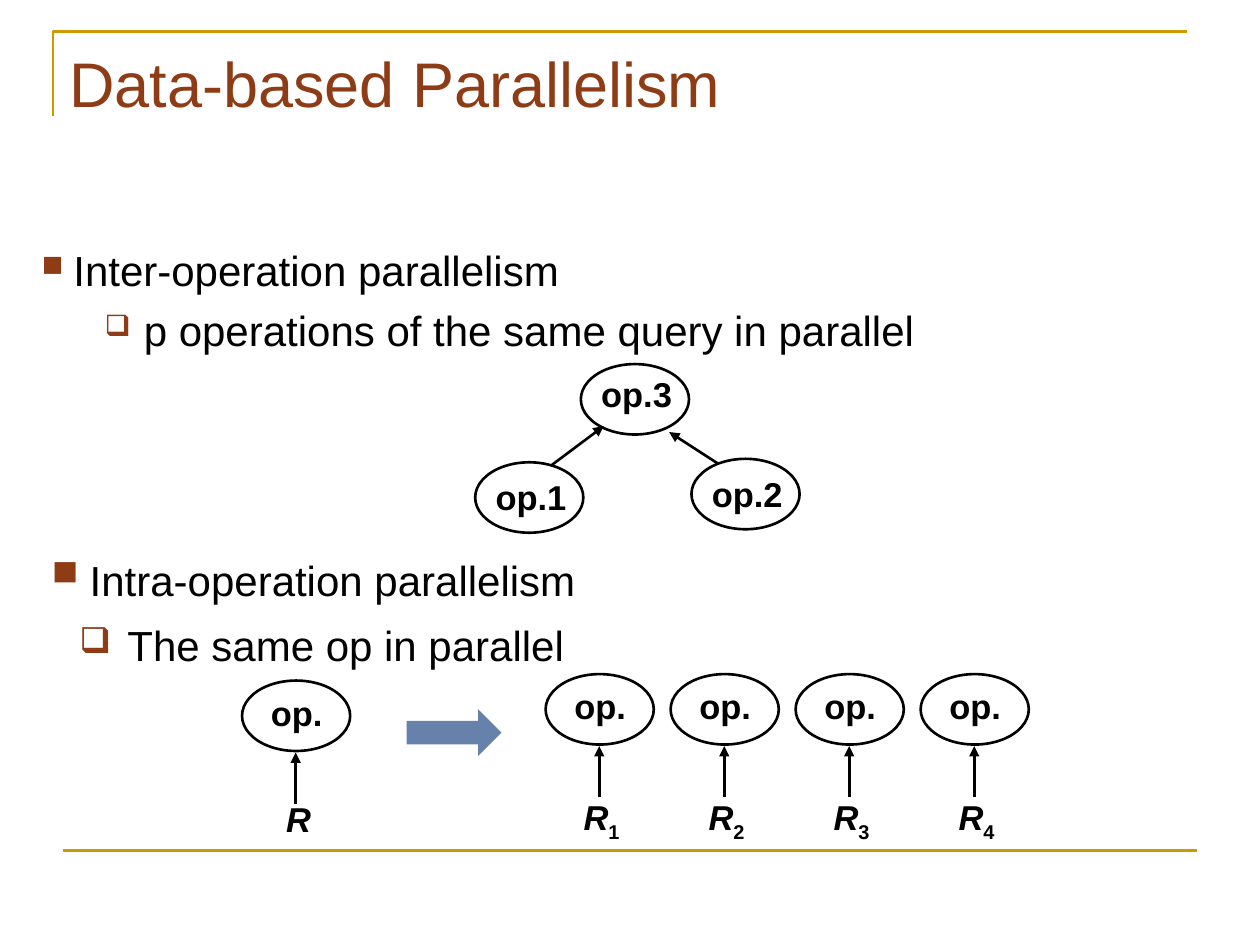
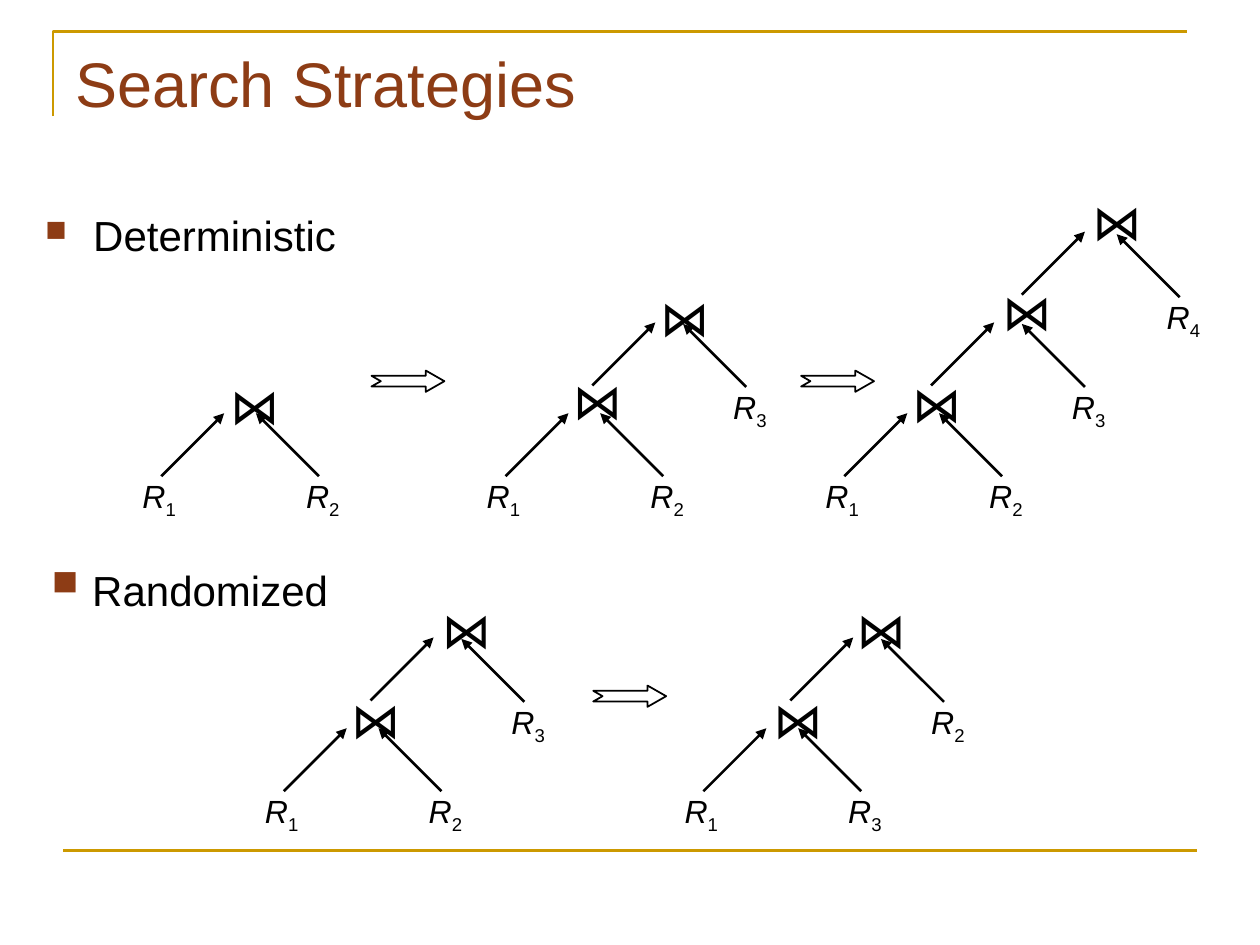
from lxml.etree import SubElement
from pptx import Presentation
from pptx.dml.color import RGBColor
from pptx.enum.shapes import MSO_CONNECTOR, MSO_SHAPE
from pptx.enum.text import MSO_ANCHOR, MSO_AUTO_SIZE
from pptx.oxml.ns import qn
from pptx.util import Cm, Pt

COLORS = {"rule": "CC9900", "accent": "8D3C15", "ink": "000000", "block": "6682AA"}
TEXT_FONT = "Arial"
JOIN_FONT = "Noto Sans CJK JP"
WIDE_INSET = (0.25, 0.13)
THIN_INSET = (0.18, 0.08)
OP_SIZE = (2.18, 1.42)
REACH = 1.27  # horizontal and vertical run of a tree arrow
# Per tree level: foot of the left arrow, foot of the right arrow
LEVELS = [
    ((0, 0), (3.18, 0)),
    ((1.75, -1.83), (4.85, -1.8)),
    ((3.58, -3.66), (6.76, -3.61)),
]


def rgb(name):
    return RGBColor.from_string(COLORS[name])


class Deck:
    """Holds the shared style and the slide being built."""

    def __init__(self):
        self.prs = Presentation()
        self.prs.slide_width, self.prs.slide_height = Cm(25.4), Cm(19.05)
        self.slide = None

    # Slide frame and title
    def new_slide(self):
        self.slide = self.prs.slides.add_slide(self.prs.slide_layouts[6])
        builder = self.slide.shapes.build_freeform(Cm(1.07), Cm(2.34))
        builder.add_line_segments(
            [(Cm(1.07), Cm(0.64)), (Cm(23.93), Cm(0.64))], close=False)
        self.paint(builder.convert_to_shape(), line="rule")
        self.line((1.27, 17.15), (24.13, 17.15), color="rule")

    def title(self, text, box, **options):
        frame = self.text_frame(box, **options)
        self.fill_paragraph(frame.paragraphs[0], [text], 36, color="accent")

    # Shapes and lines
    def paint(self, shape, fill=None, line=None, width=1.5):
        shape.shadow.inherit = False
        if fill:
            shape.fill.solid()
            shape.fill.fore_color.rgb = rgb(fill)
        else:
            shape.fill.background()
        if line:
            shape.line.color.rgb = rgb(line)
            shape.line.width = Pt(width)
        else:
            shape.line.fill.background()

    def shape(self, kind, box, **style):
        shape = self.slide.shapes.add_shape(kind, *map(Cm, box))
        self.paint(shape, **style)
        return shape

    def line(self, start, end, color="ink", arrow=False):
        connector = self.slide.shapes.add_connector(
            MSO_CONNECTOR.STRAIGHT, *map(Cm, (*start, *end)))
        connector.line.color.rgb = rgb(color)
        connector.line.width = Pt(1.5)
        if arrow:
            SubElement(connector.line._get_or_add_ln(), qn("a:tailEnd"), type="triangle")
        SubElement(connector._element.spPr, qn("a:effectLst"))

    def arrow(self, start, end):
        self.line(start, end, arrow=True)

    def step_arrow(self, left, top):
        step = self.shape(MSO_SHAPE.NOTCHED_RIGHT_ARROW, (left, top, 1.47, 0.43),
                          line="ink", width=1)
        step.adjustments[0], step.adjustments[1] = 0.5, 0.875

    # Text
    def text_frame(self, box, inset=WIDE_INSET, wrap=False, grow=True):
        frame = self.slide.shapes.add_textbox(*map(Cm, box)).text_frame
        frame.margin_left = frame.margin_right = Cm(inset[0])
        frame.margin_top = frame.margin_bottom = Cm(inset[1])
        frame.vertical_anchor = MSO_ANCHOR.TOP
        frame.word_wrap = wrap
        frame.auto_size = MSO_AUTO_SIZE.SHAPE_TO_FIT_TEXT if grow else MSO_AUTO_SIZE.NONE
        return frame

    def fill_paragraph(self, paragraph, texts, size, color="ink", bold=False,
                       name=TEXT_FONT):
        font = paragraph.font
        font.name, font.size, font.bold = name, Pt(size), bold
        font.color.rgb = rgb(color)
        for text in texts:
            paragraph.add_run().text = text

    def bullets(self, box, items, space=0, **options):
        """Each item is (text, bullet, bullet percent, text indent, hanging)."""
        frame = self.text_frame(box, wrap=True, **options)
        for index, (text, bullet, percent, indent, hanging) in enumerate(items):
            paragraph = frame.add_paragraph() if index else frame.paragraphs[0]
            paragraph.level = index
            props = paragraph._p.get_or_add_pPr()
            props.set("marL", str(Cm(indent)))
            props.set("indent", str(-Cm(hanging)))
            tint = SubElement(props, qn("a:buClr"))
            SubElement(tint, qn("a:srgbClr"), val=COLORS["accent"])
            SubElement(props, qn("a:buSzPct"), val=str(percent * 1000))
            SubElement(props, qn("a:buChar"), char=bullet)
            if index:
                paragraph.space_before = Pt(space)
            self.fill_paragraph(paragraph, [text], 24)

    def op_label(self, text, box):
        paragraph = self.text_frame(box).paragraphs[0]
        paragraph.line_spacing = 0.9
        self.fill_paragraph(paragraph, [text], 19.7, bold=True)

    def relation(self, number, box, size, bold=False):
        """An italic R with an upright subscript, if it has a number."""
        paragraph = self.text_frame(box).paragraphs[0]
        if bold:
            paragraph.line_spacing = 0.9
        self.fill_paragraph(paragraph, ["R", number] if number else ["R"], size, bold=bold)
        letter, *subscripts = paragraph.runs
        letter.font.italic = True
        for subscript in subscripts:
            subscript._r.get_or_add_rPr().set("baseline", "-25000")

    # Diagram parts
    def ellipse(self, left, top):
        self.shape(MSO_SHAPE.OVAL, (left, top, *OP_SIZE), line="ink")

    def op_on_relation(self, left, top, number=""):
        self.ellipse(left, top)
        self.op_label("op.", (left + 0.33, top + 0.19, 1.55, 1.02))
        self.arrow((left + 1.08, top + 2.48), (left + 1.08, top + 1.45))
        width = 1.27 if number else 1.02
        self.relation(number, (left + 1.15 - width / 2, top + 2.34, width, 1.02),
                      19.7, bold=True)

    def join(self, left, top):
        paragraph = self.text_frame((left, top, 1.02, 1.45)).paragraphs[0]
        self.fill_paragraph(paragraph, ["⋈"], 28.1, name=JOIN_FONT)
        SubElement(paragraph.font._element, qn("a:ea"), typeface=JOIN_FONT)

    def join_tree(self, left, base, relations, joins):
        """A left-deep tree: the first relation, then one more per level."""
        first, *others = relations
        self.relation(first, (left - 0.63, base - 0.13, 1.22, 1.04), 18.3)
        for number, (left_foot, right_foot), join_at in zip(others, LEVELS, joins):
            x, y = left + left_foot[0], base + left_foot[1]
            self.arrow((x, y), (x + REACH, y - REACH))
            x, y = left + right_foot[0], base + right_foot[1]
            self.arrow((x, y), (x - REACH, y - REACH))
            self.relation(number, (x - 0.51, y - 0.12, 1.22, 1.04), 18.3)
            self.join(*join_at)


def parallelism_slide(deck):
    deck.new_slide()
    deck.title("Data-based Parallelism", (1.22, 0.81, 13.61, 1.68), inset=THIN_INSET)

    # Inter-operation: three operations in a tree
    deck.bullets((0.66, 4.85, 24, 2.39), [
        ("Inter-operation parallelism", "■", 70, 0.64, 0.64),
        ("p operations of the same query in parallel", "❑", 70, 2.06, 0.79),
    ], space=5.5, inset=THIN_INSET)
    for text, left, top, drop in [("op.1", 9.58, 9.32, 0.25), ("op.3", 11.71, 7.34, 0.15),
                                  ("op.2", 13.94, 9.25, 0.25)]:
        deck.ellipse(left, top)
        deck.op_label(text, (left + 0.16, top + drop, 1.96, 1.02))
    deck.arrow((11.13, 9.37), (12.17, 8.59))
    deck.arrow((14.48, 9.35), (13.49, 8.71))

    # Intra-operation: one operation split over partitions
    deck.bullets((0.66, 11.1, 21.11, 2.49), [
        ("Intra-operation parallelism", "▪", 150, 0.97, 0.97),
        ("The same op in parallel", "❑", 85, 1.73, 0.97),
    ], space=8.4, inset=THIN_INSET)
    deck.op_on_relation(4.88, 13.72)
    for partition in range(4):
        deck.op_on_relation(11 + 2.52 * partition, 13.59, str(partition + 1))
    deck.shape(MSO_SHAPE.RIGHT_ARROW, (8.2, 14.3, 1.91, 0.94), fill="block")


def strategies_slide(deck):
    deck.new_slide()
    deck.title("Search Strategies", (1.27, 0.76, 22.86, 3.18), wrap=True, grow=False)

    # Deterministic: the plan grows by one relation at a time
    deck.bullets((0.66, 4.09, 24, 1.3), [("Deterministic", "■", 70, 0.97, 0.97)], grow=False)
    deck.join_tree(3.25, 9.6, "12", [(4.39, 7.44)])
    deck.step_arrow(7.49, 7.47)
    deck.join_tree(10.19, 9.6, "123", [(11.3, 7.34), (13.06, 5.66)])
    deck.step_arrow(16.15, 7.47)
    deck.join_tree(17.02, 9.6, "1234", [(18.14, 7.39), (19.96, 5.54), (21.77, 3.73)])

    # Randomized: two relations change places
    deck.bullets((0.74, 11.28, 24, 1.3), [("Randomized", "▪", 150, 1.02, 1.02)],
                 inset=(0.1, 0.1), grow=False)
    deck.join_tree(5.72, 15.95, "123", [(6.83, 13.77), (8.66, 11.96)])
    deck.step_arrow(11.96, 13.82)
    deck.join_tree(14.18, 15.95, "132", [(15.34, 13.77), (17.02, 11.96)])


def main():
    deck = Deck()
    parallelism_slide(deck)
    strategies_slide(deck)
    deck.prs.save("out.pptx")


if __name__ == "__main__":
    main()
